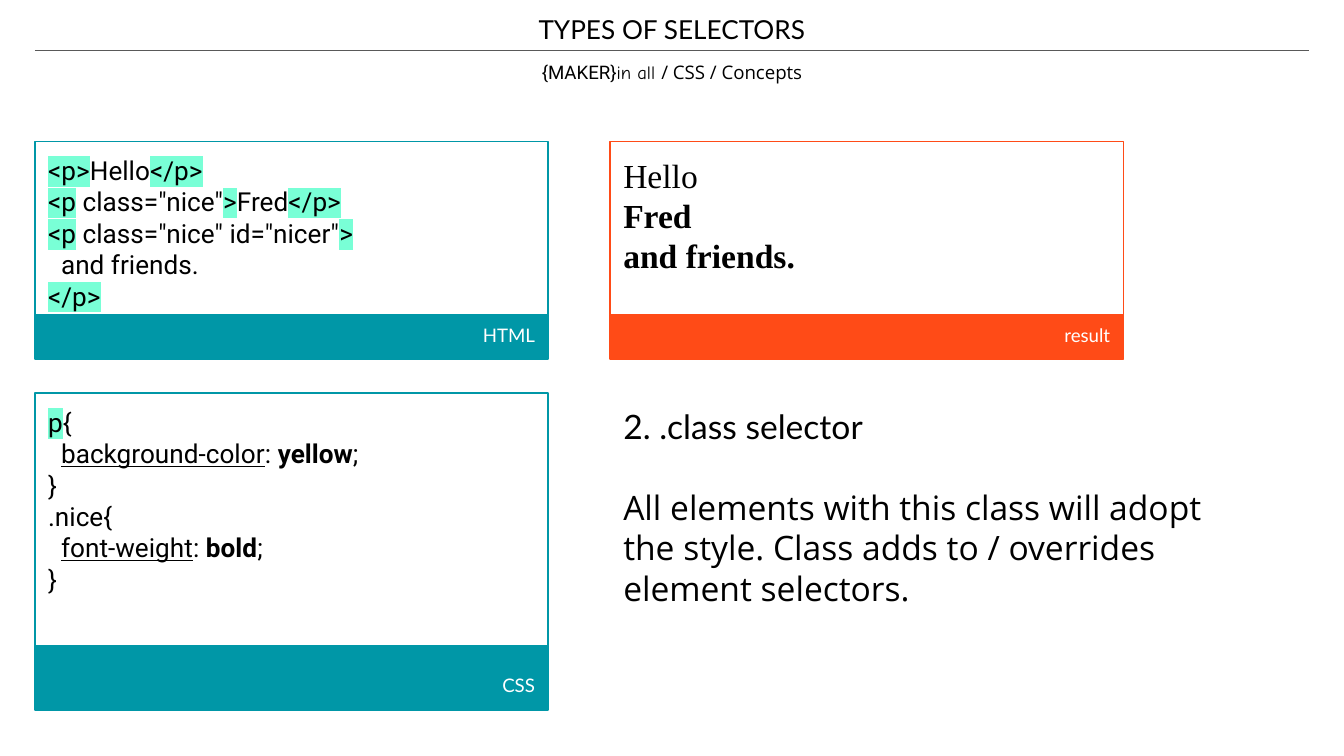
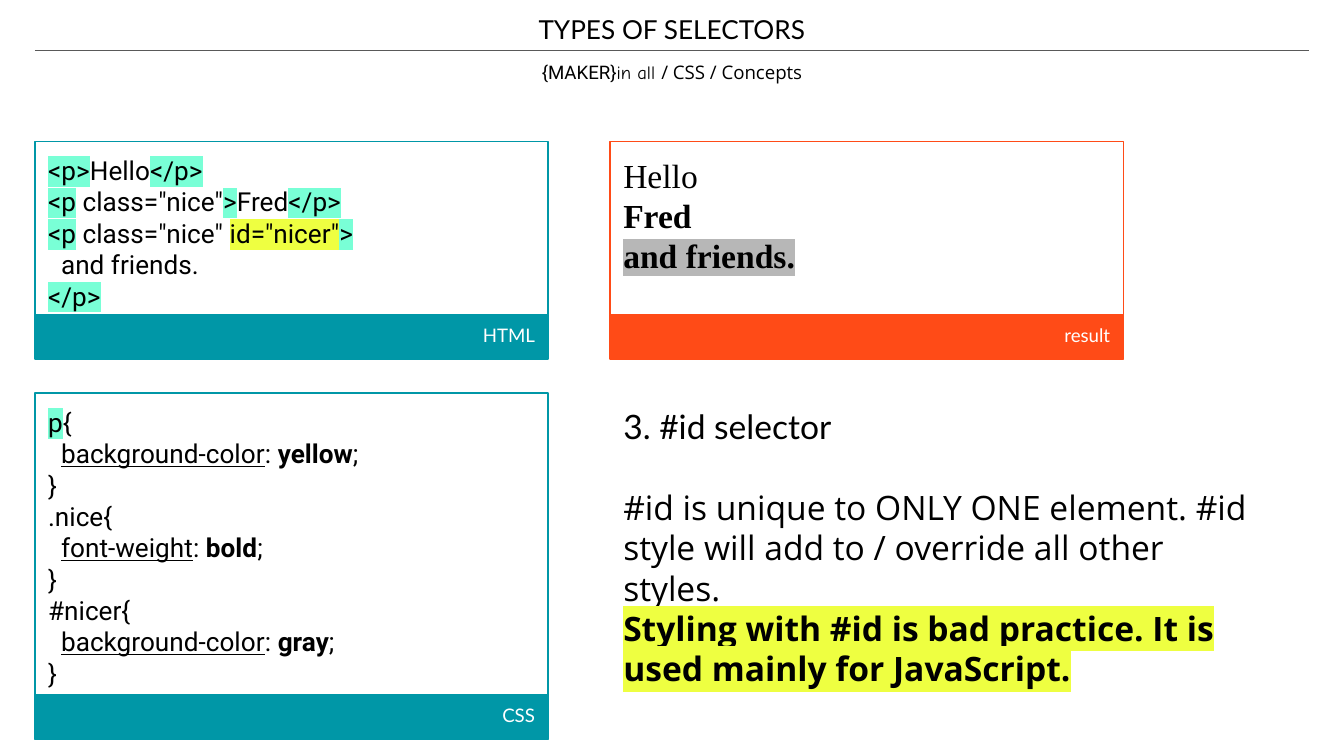
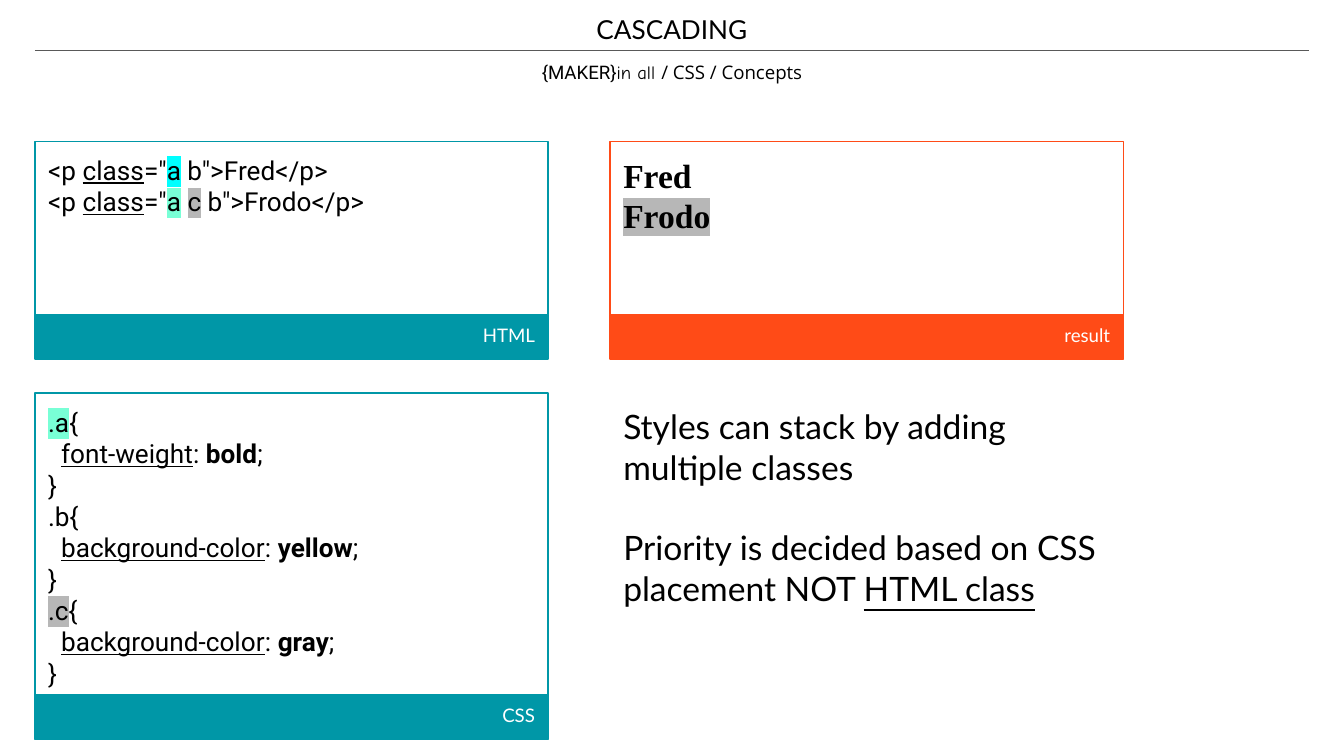
from dataclasses import dataclass
from typing import Optional

from lxml.etree import SubElement
from pptx import Presentation
from pptx.dml.color import RGBColor
from pptx.enum.shapes import MSO_CONNECTOR, MSO_SHAPE
from pptx.enum.text import MSO_ANCHOR, PP_ALIGN
from pptx.oxml.ns import qn
from pptx.util import Cm, Pt

BLACK = RGBColor(0x00, 0x00, 0x00)
WHITE = RGBColor(0xFF, 0xFF, 0xFF)
RULE_GRAY = RGBColor(0x59, 0x59, 0x59)
TEAL = RGBColor(0x00, 0x97, 0xA7)
ORANGE = RGBColor(0xFF, 0x4B, 0x17)
MINT = RGBColor(0x79, 0xFF, 0xD6)
CYAN = RGBColor(0x00, 0xFF, 0xFF)
YELLOW = RGBColor(0xEE, 0xFF, 0x41)
GRAY = RGBColor(0xB7, 0xB7, 0xB7)

HEADING_FONT = "Lato"
BODY_FONT = "Open Sans"
CODE_FONT = "Roboto"
BROWSER_FONT = "Times New Roman"

LINE_HEIGHT = 1.2
INSET = Cm(0.25)
LEFT_COLUMN, RIGHT_COLUMN = Cm(0.66), Cm(11.53)
UPPER_ROW, LOWER_ROW = Cm(2.67), Cm(7.43)
PANEL_WIDTH = Cm(9.7)
UPPER_BODY_HEIGHT = Cm(3.28)
BAR_HEIGHT = Cm(0.84)
HEADER_LEFT, HEADER_WIDTH = Cm(8.05), Cm(9.3)
RULE_TOP, RULE_RIGHT = Cm(0.95), Cm(24.74)


@dataclass
class Piece:
    text: str
    highlight: Optional[RGBColor] = None
    bold: Optional[bool] = None
    underline: Optional[bool] = None
    font: Optional[str] = None


@dataclass
class Line:
    pieces: list
    font: str
    size: int
    color: RGBColor = BLACK
    align: PP_ALIGN = PP_ALIGN.LEFT
    gap_before: float = 0


def add_piece(paragraph, piece):
    run = paragraph.add_run()
    run.text = piece.text
    if piece.highlight is not None:
        highlight = SubElement(run._r.get_or_add_rPr(), qn("a:highlight"))
        SubElement(highlight, qn("a:srgbClr"), val=str(piece.highlight))
    run.font.bold = piece.bold
    run.font.underline = piece.underline
    if piece.font:
        run.font.name = piece.font


def write_lines(shape, lines, anchor=MSO_ANCHOR.TOP):
    frame = shape.text_frame
    frame.word_wrap = True
    frame.vertical_anchor = anchor
    frame.margin_left = frame.margin_right = INSET
    frame.margin_top = frame.margin_bottom = INSET
    for index, line in enumerate(lines):
        paragraph = frame.add_paragraph() if index else frame.paragraphs[0]
        paragraph.alignment = line.align
        paragraph.line_spacing = Pt(line.size * LINE_HEIGHT)
        if line.gap_before:
            paragraph.space_before = Pt(line.gap_before)
        for piece in line.pieces:
            add_piece(paragraph, piece if isinstance(piece, Piece) else Piece(piece))
        paragraph.font.name = line.font
        paragraph.font.size = Pt(line.size)
        paragraph.font.color.rgb = line.color


def add_text(slide, left, top, width, height, lines, anchor=MSO_ANCHOR.TOP):
    write_lines(slide.shapes.add_textbox(left, top, width, height), lines, anchor)


def add_header(slide, title):
    breadcrumb = [Piece("{MAKER}", font=CODE_FONT), Piece("in all ", font="Comic Neue"),
                  Piece("/ CSS / Concepts", font=BODY_FONT)]
    add_text(slide, HEADER_LEFT, RULE_TOP, HEADER_WIDTH, BAR_HEIGHT,
             [Line(breadcrumb, BODY_FONT, 10, align=PP_ALIGN.CENTER)], MSO_ANCHOR.BOTTOM)
    add_text(slide, HEADER_LEFT, 0, HEADER_WIDTH, RULE_TOP,
             [Line([title], HEADING_FONT, 14, align=PP_ALIGN.CENTER)])
    rule = slide.shapes.add_connector(
        MSO_CONNECTOR.STRAIGHT, LEFT_COLUMN, RULE_TOP, RULE_RIGHT, RULE_TOP)
    rule.line.color.rgb = RULE_GRAY
    rule.line.width = Pt(0.75)
    SubElement(rule._element.spPr, qn("a:effectLst"))


def add_box(group, left, top, height, color, filled):
    box = group.shapes.add_shape(MSO_SHAPE.RECTANGLE, left, top, PANEL_WIDTH, height)
    box.shadow.inherit = False
    if filled:
        box.fill.solid()
        box.fill.fore_color.rgb = color
    else:
        box.fill.background()
    box.line.color.rgb = color
    box.line.width = Pt(0.75)
    return box


def add_panel(slide, left, top, label, lines, color=TEAL,
              body_height=UPPER_BODY_HEIGHT, bar_height=BAR_HEIGHT, overlap=0):
    """Outlined box of lines with a labelled bar at its foot."""
    group = slide.shapes.add_group_shape()
    write_lines(add_box(group, left, top, body_height, color, False), lines)
    bar = add_box(group, left, top + body_height - overlap, bar_height, color, True)
    write_lines(bar, [Line([label], HEADING_FONT, 10, WHITE, PP_ALIGN.RIGHT)],
                MSO_ANCHOR.BOTTOM)


def code(rows):
    return [Line(row, CODE_FONT, 14) for row in rows]


def css_rule(selector, name, value, highlight=None):
    return [[Piece(selector, highlight), "{"],
            ["  ", Piece(name, underline=True), ": ", Piece(value, bold=True), ";"],
            ["}"]]


def paragraph_markup(id_highlight=None):
    """HTML of the selector slides, with its tags marked."""
    start, end, close = Piece("<p", MINT), Piece(">", MINT), Piece("</p>", MINT)
    return [[Piece("<p>", MINT), "Hello", close],
            [start, ' class="nice"', end, "Fred", close],
            [start, ' class="nice" ', Piece('id="nicer"', id_highlight), end],
            ["  and friends."],
            [close]]


def add_example(presentation, title, html, css, result, explanation, tall_css=True):
    slide = presentation.slides.add_slide(presentation.slide_layouts[6])
    add_header(slide, title)
    add_text(slide, RIGHT_COLUMN, LOWER_ROW, Cm(12.32), Cm(6.1), explanation)
    if tall_css:
        css_size = {"body_height": Cm(5.84), "overlap": Cm(0.13)}
    else:
        css_size = {"body_height": Cm(4.77), "bar_height": Cm(1.22)}
    add_panel(slide, LEFT_COLUMN, LOWER_ROW, "CSS", code(css), **css_size)
    add_panel(slide, RIGHT_COLUMN, UPPER_ROW, "result",
              [Line([piece], BROWSER_FONT, 18) for piece in result], ORANGE)
    add_panel(slide, LEFT_COLUMN, UPPER_ROW, "HTML", code(html))


def explain(text, font=HEADING_FONT, after_gap=False):
    pieces = text if isinstance(text, list) else [text]
    return Line(pieces, font, 18, gap_before=18 * LINE_HEIGHT if after_gap else 0)


def main():
    presentation = Presentation()
    presentation.slide_width = Cm(25.4)
    presentation.slide_height = Cm(14.29)

    element_and_class = (css_rule("p", "background-color", "yellow", MINT)
                         + css_rule(".nice", "font-weight", "bold"))
    add_example(
        presentation, "TYPES OF SELECTORS", paragraph_markup(), element_and_class,
        ["Hello", Piece("Fred", bold=True), Piece("and friends.", bold=True)],
        [explain("2. .class selector"),
         explain("All elements with this class will adopt the style. "
                 "Class adds to / overrides element selectors.", BODY_FONT, True)],
        tall_css=False)

    add_example(
        presentation, "TYPES OF SELECTORS", paragraph_markup(YELLOW),
        element_and_class + css_rule("#nicer", "background-color", "gray"),
        ["Hello", Piece("Fred", bold=True), Piece("and friends.", GRAY, bold=True)],
        [explain("3. #id selector"),
         explain("#id is unique to ONLY ONE element. #id style will add to / "
                 "override all other styles.", BODY_FONT, True),
         explain([Piece("Styling with #id is bad practice. It is used mainly for "
                        "JavaScript.", YELLOW, bold=True)], BODY_FONT)])

    attribute = Piece("class", underline=True)
    add_example(
        presentation, "CASCADING",
        [["<p ", attribute, '="', Piece("a", CYAN), ' b">Fred</p>'],
         ["<p ", attribute, '="', Piece("a", MINT), " ", Piece("c", GRAY),
          ' b">Frodo</p>']],
        css_rule(".a", "font-weight", "bold", MINT)
        + css_rule(".b", "background-color", "yellow")
        + css_rule(".c", "background-color", "gray", GRAY),
        [Piece("Fred", bold=True), Piece("Frodo", GRAY, bold=True)],
        [explain("Styles can stack by adding"),
         explain("multiple classes"),
         explain(["Priority is decided based on CSS placement NOT ",
                  Piece("HTML class", underline=True)], after_gap=True)])

    presentation.save("out.pptx")


if __name__ == "__main__":
    main()
